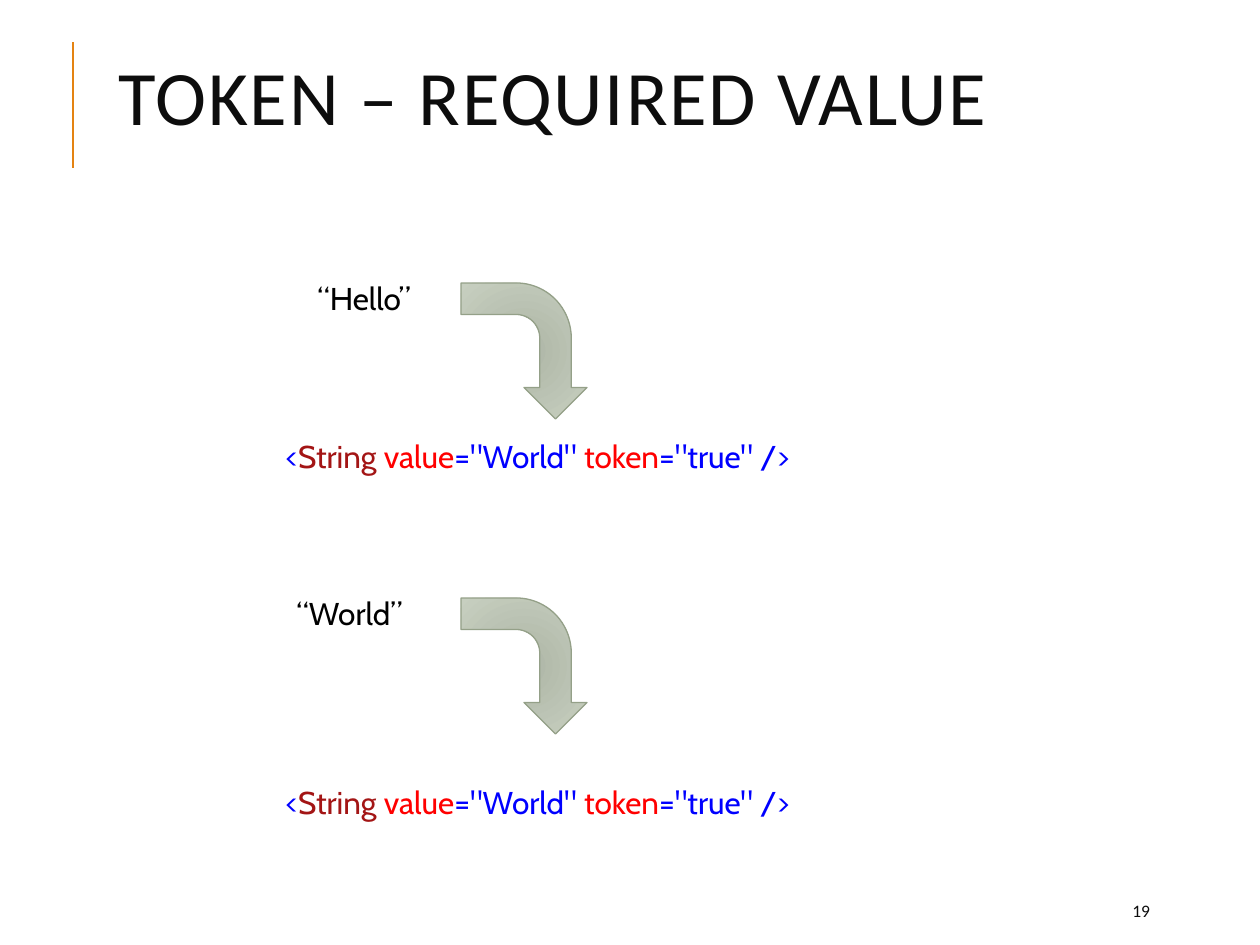
import pptx
import pptx.util
import pptx.dml.color
import pptx.enum.shapes
import pptx.enum.text
import pptx.oxml
import pptx.oxml.ns

THEME = {
    "ink": "0D0D0D", "black": "000000", "rule": "E48312",
    "blue": "0000FF", "brown": "A31515", "red": "FF0000",
    "dark": "ADB5A5", "light": "C7CFC0", "edge": "94A088",
    "head": "Calibri", "body": "Cabin",
    "big": 44, "mid": 18, "small": 10,
}
TITLE = "TOKEN – REQUIRED VALUE"
PAGE = "19"
CODE = [("<", "blue"), ("String ", "brown"), ("value", "red"),
        ('="World" ', "blue"), ("token", "red"), ('="true" />', "blue")]
CASES = [
    {"word": "“Hello”", "left": 305, "wide": 136, "top": 273, "code": 431},
    {"word": "“World”", "left": 284, "wide": 157, "top": 588, "code": 777},
]
LINE = 50


def px(num):
    return pptx.util.Emu(round(num * 914400 / 126))


def tint(name):
    return pptx.dml.color.RGBColor.from_string(THEME[name])


def write(slide, box, runs, size, face, mid=False, gap=0, lead=None):
    frame = slide.shapes.add_textbox(*map(px, box)).text_frame
    frame.word_wrap = True
    if mid:
        frame.vertical_anchor = pptx.enum.text.MSO_ANCHOR.MIDDLE
    para = frame.paragraphs[0]
    if lead:
        para.line_spacing = lead
    for text, hue in runs:
        run = para.add_run()
        run.text = text
        run.font.size = pptx.util.Pt(THEME[size])
        run.font.name = THEME[face]
        run.font.color.rgb = tint(hue)
        if gap:
            run.font._element.set("spc", str(gap))


def bend(slide, box):
    kind = pptx.enum.shapes.MSO_SHAPE.BENT_ARROW
    arrow = slide.shapes.add_shape(kind, *map(px, box))
    arrow.rotation = 90
    arrow.shadow.inherit = False
    arrow.fill.gradient()
    for stop, hue in zip(arrow.fill.gradient_stops, ("dark", "light")):
        stop.color.rgb = tint(hue)
    qn = pptx.oxml.ns.qn
    grad = arrow._element.spPr.find(qn("a:gradFill"))
    ray = pptx.oxml.parse_xml(
        f'<a:path {pptx.oxml.ns.nsdecls("a")} path="circle">'
        '<a:fillToRect l="100000" t="100000" r="100000" b="100000"/></a:path>')
    grad.replace(grad.find(qn("a:lin")), ray)
    arrow.line.color.rgb = tint("edge")
    arrow.line.width = pptx.util.Pt(0.75)


def rule(slide, left, top, foot):
    kind = pptx.enum.shapes.MSO_CONNECTOR.STRAIGHT
    line = slide.shapes.add_connector(kind, *map(px, (left, foot, left, top)))
    line.line.color.rgb = tint("rule")
    line.line.width = pptx.util.Pt(1.5)
    line._element.spPr.append(pptx.oxml.parse_xml(
        f'<a:effectLst {pptx.oxml.ns.nsdecls("a")}/>'))


def main():
    deck = pptx.Presentation()
    deck.slide_width, deck.slide_height = px(1260), px(945)
    slide = deck.slides.add_slide(deck.slide_layouts[6])
    rule(slide, 73, 42, 168)
    write(slide, (106, 0, 1004, 207), [(TITLE, "ink")], "big", "head",
          mid=True, gap=100, lead=0.8)
    write(slide, (1120, 892, 101, 38), [(PAGE, "ink")], "small", "head", mid=True)
    for case in CASES:
        bend(slide, (456, case["top"] + 15, 136, 126))
        write(slide, (case["left"], case["top"], case["wide"], LINE),
              [(case["word"], "black")], "mid", "body")
        write(slide, (273, case["code"], 630, LINE), CODE, "mid", "body")
    deck.save("out.pptx")


if __name__ == "__main__":
    main()
